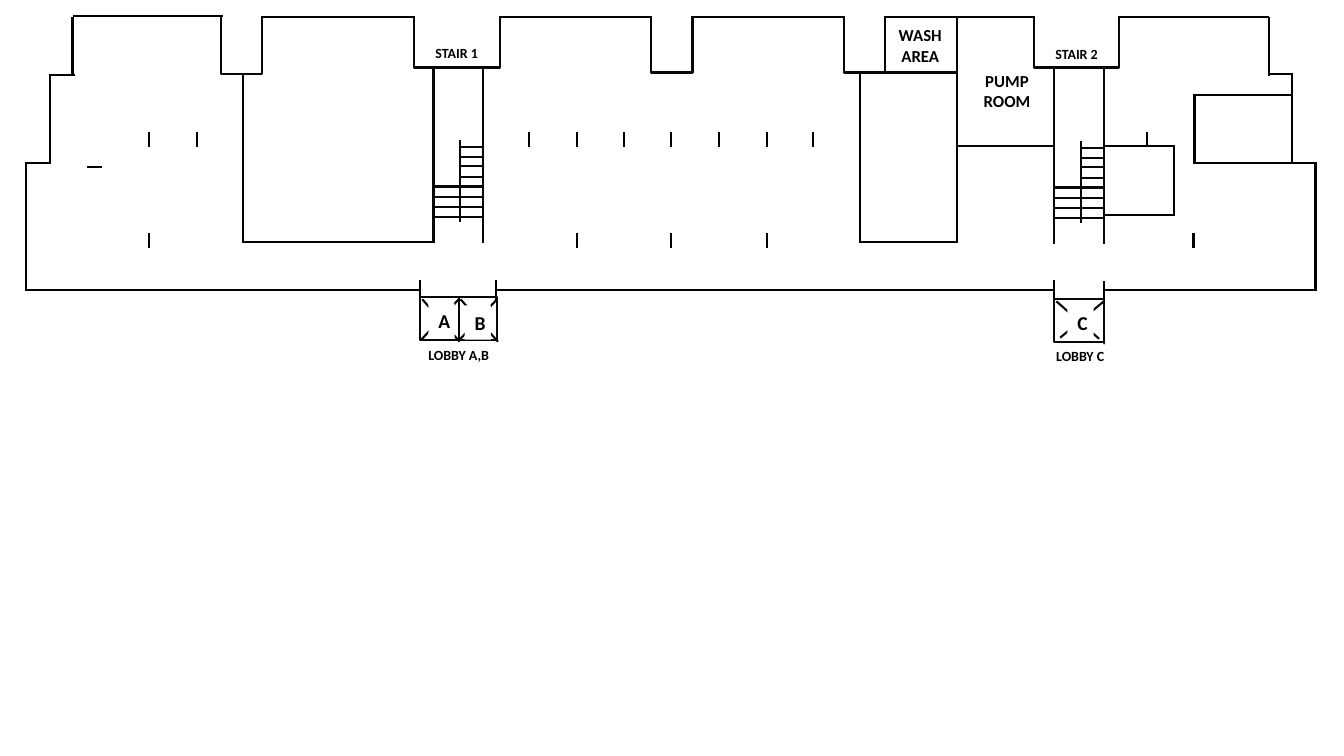
from dataclasses import dataclass

from lxml.etree import SubElement
from pptx import Presentation
from pptx.dml.color import RGBColor
from pptx.enum.dml import MSO_LINE
from pptx.enum.shapes import MSO_CONNECTOR, MSO_SHAPE
from pptx.enum.text import MSO_ANCHOR, MSO_AUTO_SIZE, PP_ALIGN
from pptx.oxml.ns import qn
from pptx.shapes.shapetree import GroupShapes
from pptx.util import Inches, Pt

# The plan lies on a square grid of tenths of an inch.
CELL = Inches(0.1)
COLUMNS, ROWS = 133.33, 75
COLORS = {"wall": "000000", "fitting": "080808", "text": "000000", "panel": "FFFFFF"}
LINE_WIDTH = Pt(1.5)


@dataclass(frozen=True)
class Line:
    start_column: float
    start_row: float
    end_column: float
    end_row: float
    color: str = "wall"
    dash: MSO_LINE | None = None


@dataclass(frozen=True)
class Recess:
    left: float
    right: float
    top: float
    bottom: float


@dataclass(frozen=True)
class Stair:
    column: float
    row: float


@dataclass(frozen=True)
class Lift:
    column: float
    row: float
    width: float
    height: float = 4.2


@dataclass(frozen=True)
class Label:
    text: str
    column: float
    row: float
    width: float
    height: float
    size: int
    wrap: bool = True
    panel: bool = False


WALLS = [
    # west outline
    Line(2.5, 28.8, 41.7, 28.8), Line(2.6, 16.1, 2.6, 28.9), Line(2.5, 16.2, 5, 16.2),
    Line(5, 7.3, 5, 16.3), Line(4.9, 7.4, 7.4, 7.4), Line(7.2, 1.7, 7.2, 7.5),
    # south outline and east outline
    Line(49.1, 28.8, 104.6, 28.8), Line(109.4, 28.8, 130.6, 28.8),
    Line(130.5, 16.1, 130.5, 28.9), Line(118.5, 16.2, 130.6, 16.2),
    Line(128.2, 7.3, 128.2, 16.3), Line(125.8, 7.3, 128.3, 7.3), Line(125.9, 1.7, 125.9, 7.5),
    # north outline
    Line(7.2, 1.6, 22.1, 1.6), Line(25.9, 1.7, 41.2, 1.7), Line(49.5, 1.7, 64.7, 1.7),
    Line(68.6, 1.7, 83.8, 1.7), Line(87.7, 1.7, 102.7, 1.7), Line(110.9, 1.7, 125.9, 1.7),
    # lobby jambs
    Line(41.7, 27.8, 41.7, 29.8), Line(49.2, 27.8, 49.2, 29.8),
    Line(104.6, 27.8, 104.6, 29.8), Line(109.5, 27.9, 109.5, 29.9),
    # west room and middle room
    Line(24.1, 24, 24.1, 7.3), Line(24, 24, 43, 24),
    Line(85.3, 24, 85.3, 7.3), Line(85.2, 24, 95, 24), Line(94.9, 14.5, 94.9, 24.1),
    # wash area and pump room
    Line(94.9, 1.6, 94.9, 14.6, "fitting"), Line(94.8, 14.5, 104.6, 14.5, "fitting"),
    Line(87.8, 7.2, 95, 7.2, "fitting"),
    # east rooms
    Line(118.5, 9.3, 118.5, 16.3), Line(128.2, 9.4, 118.4, 9.4),
    Line(116.5, 21.3, 109.5, 21.3), Line(109.5, 14.5, 116.5, 14.5),
    Line(116.5, 14.4, 116.5, 21.4),
    # west pier
    Line(10.1, 16.6, 8.6, 16.6),
]
PIER_LENGTH = 1.5
PIERS = {
    13.1: [14.8, 19.5, 52.5, 57.2, 61.9, 66.6, 71.3, 76.1, 80.7, 113.8],
    23.1: [14.8, 57.2, 66.6, 76.1, 118.4],
}
RECESSES = [
    Recess(21.9, 26, 1.65, 7.3), Recess(41.1, 49.6, 1.7, 6.7), Recess(64.6, 68.7, 1.6, 7.2),
    Recess(83.7, 87.8, 1.6, 7.2), Recess(102.6, 111, 1.7, 6.7),
]
STAIRS = [Stair(43, 6.7), Stair(104.6, 6.8)]
STAIR_WIDTH, STAIR_LENGTH = 4.9, 17.4
LONG_TREADS = [11.8, 12.8, 13.8, 14.8]
SHORT_TREADS = [7.9, 8.9, 9.8, 10.9]
LIFTS = [Lift(41.7, 29.5, 3.8), Lift(45.5, 29.5, 3.8), Lift(104.6, 29.7, 4.9)]
LABELS = [
    Label("STAIR 1", 41.9, 3.9, 6.8, 2.7, 10),
    Label("STAIR 2", 103.4, 4, 6.8, 2.7, 10),
    Label("LOBBY A,B", 41.4, 33.9, 8.2, 2.7, 10, wrap=False),
    Label("LOBBY C", 103.7, 34, 6.9, 2.7, 10, wrap=False),
    Label("PUMP ROOM", 96.4, 6.5, 7, 5, 12),
    Label("WASH AREA", 87.8, 2, 7, 5, 12),
    Label("A", 42.5, 30.1, 2.6, 3.4, 14, panel=True),
    Label("B", 46.1, 30.3, 2.6, 3.4, 14, panel=True),
    Label("C", 105.9, 30.3, 2.6, 3.4, 14, panel=True),
]


def cells(*counts: float) -> list[int]:
    """Turn counts of grid cells into lengths."""
    return [round(count * CELL) for count in counts]


def color(name: str) -> RGBColor:
    return RGBColor.from_string(COLORS[name])


def apply_format(target: object, values: dict[str, object]) -> None:
    for name, value in values.items():
        setattr(target, name, value)


def draw_line(plan: GroupShapes, line: Line) -> None:
    ends = cells(line.start_column, line.start_row, line.end_column, line.end_row)
    connector = plan.add_connector(MSO_CONNECTOR.STRAIGHT, *ends)
    connector.line.color.rgb = color(line.color)
    apply_format(connector.line, {"width": LINE_WIDTH, "dash_style": line.dash})
    SubElement(connector._element.spPr, qn("a:effectLst"))


def outline(shape: object) -> None:
    shape.shadow.inherit = False
    shape.fill.background()
    shape.line.color.rgb = color("fitting")
    shape.line.width = LINE_WIDTH


def draw_recess(plan: GroupShapes, recess: Recess) -> None:
    builder = plan.build_freeform(*cells(recess.right, recess.top))
    corners = [(recess.right, recess.bottom), (recess.left, recess.bottom),
               (recess.left, recess.top)]
    builder.add_line_segments([cells(*corner) for corner in corners], close=False)
    outline(builder.convert_to_shape())


def draw_stair(plan: GroupShapes, stair: Stair) -> None:
    uprights = [(0, 0, STAIR_LENGTH), (STAIR_WIDTH, 0, STAIR_LENGTH), (2.6, 7.2, 15.3)]
    for offset, top, bottom in uprights:
        column = stair.column + offset
        draw_line(plan, Line(column, stair.row + top, column, stair.row + bottom, "fitting"))
    for offset, treads in ((0, LONG_TREADS), (2.5, SHORT_TREADS)):
        for tread in treads:
            row = stair.row + tread
            draw_line(plan, Line(stair.column + offset, row,
                                 stair.column + STAIR_WIDTH, row, "fitting"))


def draw_lift(plan: GroupShapes, lift: Lift) -> None:
    box = cells(lift.column, lift.row, lift.width, lift.height)
    outline(plan.add_shape(MSO_SHAPE.RECTANGLE, *box))
    right, bottom = lift.column + lift.width, lift.row + lift.height
    top = lift.row + 0.2
    dash = MSO_LINE.DASH_DOT_DOT
    draw_line(plan, Line(lift.column + 0.2, top, right + 0.1, bottom + 0.2, "fitting", dash))
    draw_line(plan, Line(right, top, lift.column + 0.1, bottom, "fitting", dash))


def draw_label(plan: GroupShapes, label: Label) -> None:
    box = cells(label.column, label.row, label.width, label.height)
    if label.panel:
        shape = plan.add_shape(MSO_SHAPE.RECTANGLE, *box)
        shape.shadow.inherit = False
        shape.fill.solid()
        shape.fill.fore_color.rgb = color("panel")
        shape.line.fill.background()
    else:
        shape = plan.add_textbox(*box)
    apply_format(shape.text_frame, {
        "word_wrap": label.wrap,
        "auto_size": MSO_AUTO_SIZE.SHAPE_TO_FIT_TEXT,
        "vertical_anchor": MSO_ANCHOR.MIDDLE if label.panel else MSO_ANCHOR.TOP,
    })
    paragraph = shape.text_frame.paragraphs[0]
    paragraph.alignment = PP_ALIGN.CENTER
    run = paragraph.add_run()
    run.text = label.text
    apply_format(run.font, {"name": "Calibri", "size": Pt(label.size), "bold": True})
    run.font.color.rgb = color("text")


def main() -> None:
    presentation = Presentation()
    presentation.slide_width, presentation.slide_height = cells(COLUMNS, ROWS)
    slide = presentation.slides.add_slide(presentation.slide_layouts[6])
    plan = slide.shapes.add_group_shape().shapes
    piers = [Line(column, row, column, row + PIER_LENGTH)
             for row, columns in PIERS.items() for column in columns]
    layers = [(draw_line, WALLS + piers), (draw_recess, RECESSES), (draw_stair, STAIRS),
              (draw_lift, LIFTS), (draw_label, LABELS)]
    for draw, elements in layers:
        for element in elements:
            draw(plan, element)
    presentation.save("out.pptx")


if __name__ == "__main__":
    main()
